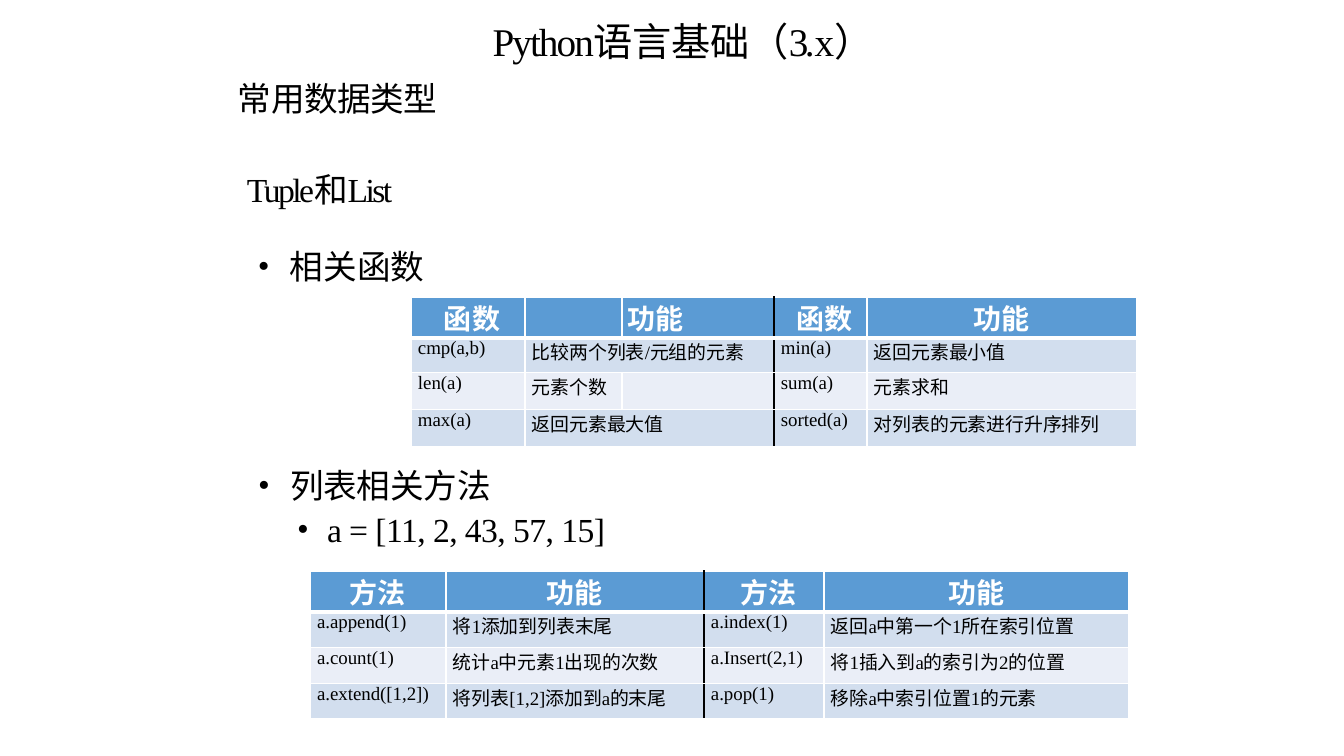
import dataclasses

import lxml.etree
import pptx
import pptx.dml.color
import pptx.enum.text
import pptx.oxml.ns
import pptx.util

PX = 914400 / 100.8


@dataclasses.dataclass(frozen=True)
class Theme:
    """Colours, fonts and type sizes of the slide."""
    black: str = "000000"
    white: str = "FFFFFF"
    header: str = "5B9BD4"
    bands: tuple = ("D2DEEE", "EAEEF7")
    latin: str = "Times New Roman"
    cjk: str = "Noto Sans CJK SC"
    head_font: str = "Noto Sans CJK TC"
    title: float = 28
    body: float = 24
    table_head: float = 20
    table_body: float = 13.5
    line: float = 1
    thick: float = 3


THEME = Theme()
ALIGN = pptx.enum.text.PP_ALIGN

FUNCTIONS = [
    ("函数", "", "功能", "函数", "功能"),
    ("cmp(a,b)", "比较两个列表/元组的元素", None, "min(a)", "返回元素最小值"),
    ("len(a)", "元素个数", "", "sum(a)", "元素求和"),
    ("max(a)", "返回元素最大值", None, "sorted(a)", "对列表的元素进行升序排列"),
]
METHODS = [
    ("方法", "功能", "方法", "功能"),
    ("a.append(1)", "将1添加到列表末尾", "a.index(1)", "返回a中第一个1所在索引位置"),
    ("a.count(1)", "统计a中元素1出现的次数", "a.Insert(2,1)", "将1插入到a的索引为2的位置"),
    ("a.extend([1,2])", "将列表[1,2]添加到a的末尾", "a.pop(1)", "移除a中索引位置1的元素"),
]


def px(n):
    """Turn pixels into EMU."""
    return pptx.util.Emu(round(n * PX))


def sub(parent, tag, **attrs):
    """Append a DrawingML element to a parent."""
    return lxml.etree.SubElement(parent, pptx.oxml.ns.qn(tag), attrs)


def style(r, size, color=THEME.black, latin=THEME.latin, cjk=THEME.cjk, bold=False, spacing=0):
    """Format one run, with its East Asian font and letter spacing."""
    r.font.size = pptx.util.Pt(size)
    r.font.bold = bold
    r.font.color.rgb = pptx.dml.color.RGBColor.from_string(color)
    r.font.name = latin
    rPr = r.font._element
    sub(rPr, "a:ea", typeface=cjk)
    if spacing:
        rPr.set("spc", str(round(spacing * 100)))


def plain_frame(tf):
    """Clear the insets and fitting of a text frame."""
    tf.margin_left = tf.margin_right = tf.margin_top = tf.margin_bottom = 0
    tf.word_wrap = True
    tf.auto_size = pptx.enum.text.MSO_AUTO_SIZE.NONE


def text_box(s, box):
    """Add a text box without insets and return its frame."""
    tf = s.shapes.add_textbox(*map(px, box)).text_frame
    plain_frame(tf)
    return tf


def add_runs(p, runs, size, **look):
    """Fill a paragraph with text runs and their letter spacing."""
    for text, spacing in runs:
        r = p.add_run()
        r.text = text
        style(r, size, spacing=spacing, **look)


def heading(s, box):
    """Place the centred course heading."""
    p = text_box(s, box).paragraphs[0]
    p.alignment = ALIGN.CENTER
    add_runs(p, [("Python", -1.4), ("语言基础（", -0.1), ("3.", -2.6), ("x", -3.3), ("）", 0)],
             THEME.title)


def section(s, box):
    """Place the section name."""
    p = text_box(s, box).paragraphs[0]
    add_runs(p, [("常用数据类型", -0.3)], THEME.body, latin=THEME.cjk)


def topic_title(s, box):
    """Place and format the title placeholder."""
    sp = s.shapes.title
    sp.left, sp.top, sp.width, sp.height = map(px, box)
    tf = sp.text_frame
    plain_frame(tf)
    tf.vertical_anchor = pptx.enum.text.MSO_ANCHOR.MIDDLE
    p = tf.paragraphs[0]
    p.alignment = ALIGN.LEFT
    add_runs(p, [("Tuple和List", -1.8)], THEME.body)


def bullets(s, box, items):
    """Place bulleted lines given as text, left margin, hanging indent and spacing."""
    tf = text_box(s, box)
    for i, (text, margin, hang, spacing) in enumerate(items):
        p = tf.add_paragraph() if i else tf.paragraphs[0]
        p.space_before = pptx.util.Pt(2.5 if i else 0)
        pPr = p._p.get_or_add_pPr()
        pPr.set("marL", str(px(margin)))
        pPr.set("indent", str(-px(hang)))
        sub(pPr, "a:buFont", typeface=THEME.latin)
        sub(pPr, "a:buChar", char="•")
        add_runs(p, [(text, spacing)], THEME.body)


def borders(cell, row, first, last, divider):
    """Draw cell borders, with a thick header rule and a black divider."""
    sides = {
        "L": (THEME.line, first == divider),
        "R": (THEME.line, last == divider - 1),
        "T": (THEME.thick if row == 1 else THEME.line, False),
        "B": (THEME.thick if row == 0 else THEME.line, False),
    }
    tcPr = cell._tc.get_or_add_tcPr()
    for side, (width, dark) in sides.items():
        ln = sub(tcPr, f"a:ln{side}", w=str(pptx.util.Pt(width)))
        sub(sub(ln, "a:solidFill"), "a:srgbClr", val=THEME.black if dark else THEME.white)


def reference_table(s, left, top, widths, heights, rows, head_indents, divider):
    """Place a two-part table; a head indent of None centres and a None cell is merged left."""
    box = (left, top, sum(widths), sum(heights))
    table = s.shapes.add_table(len(rows), len(widths), *map(px, box)).table
    for column, width in zip(table.columns, widths):
        column.width = px(width)
    for row, height in zip(table.rows, heights):
        row.height = px(height)
    for i, texts in enumerate(rows):
        for j, text in enumerate(texts):
            cell = table.cell(i, j)
            last = j
            if j + 1 < len(texts) and texts[j + 1] is None:
                last = j + 1
                cell.merge(table.cell(i, last))
            indent = 7 if i else head_indents[j]
            cell.margin_left = px(indent or 0)
            cell.margin_right = cell.margin_top = cell.margin_bottom = 0
            borders(cell, i, j, last, divider)
            cell.fill.solid()
            fill = THEME.bands[(i - 1) % 2] if i else THEME.header
            cell.fill.fore_color.rgb = pptx.dml.color.RGBColor.from_string(fill)
            if not text:
                continue
            p = cell.text_frame.paragraphs[0]
            p.text = text
            p.alignment = ALIGN.CENTER if indent is None else ALIGN.LEFT
            if i:
                style(p.runs[0], THEME.table_body)
            else:
                style(p.runs[0], THEME.table_head, THEME.white, THEME.head_font,
                      THEME.head_font, True)


def data_types_slide(prs):
    """Build the slide on tuples and lists."""
    s = prs.slides.add_slide(prs.slide_layouts[5])
    topic_title(s, (247, 151, 852, 76))
    bullets(s, (246, 246, 240, 46), [("相关函数", 44, 32, 0)])
    bullets(s, (246, 465, 400, 90),
            [("列表相关方法", 44, 32, -0.1), ("a = [11, 2, 43, 57, 15]", 81, 30, -0.4)])
    reference_table(s, 411, 297, (114, 97, 152, 93, 270), (39, 35, 37, 37),
                    FUNCTIONS, (33, 0, 6, 23, None), 3)
    reference_table(s, 310, 571, (136, 258, 120, 305), (40, 36, 36, 35),
                    METHODS, (None, None, 37, None), 2)
    heading(s, (257, 17, 852, 58))
    section(s, (238, 78, 210, 50))


def main():
    """Create and save the presentation."""
    prs = pptx.Presentation()
    prs.slide_width, prs.slide_height = px(1344), px(756)
    data_types_slide(prs)
    prs.save("out.pptx")


if __name__ == "__main__":
    main()
